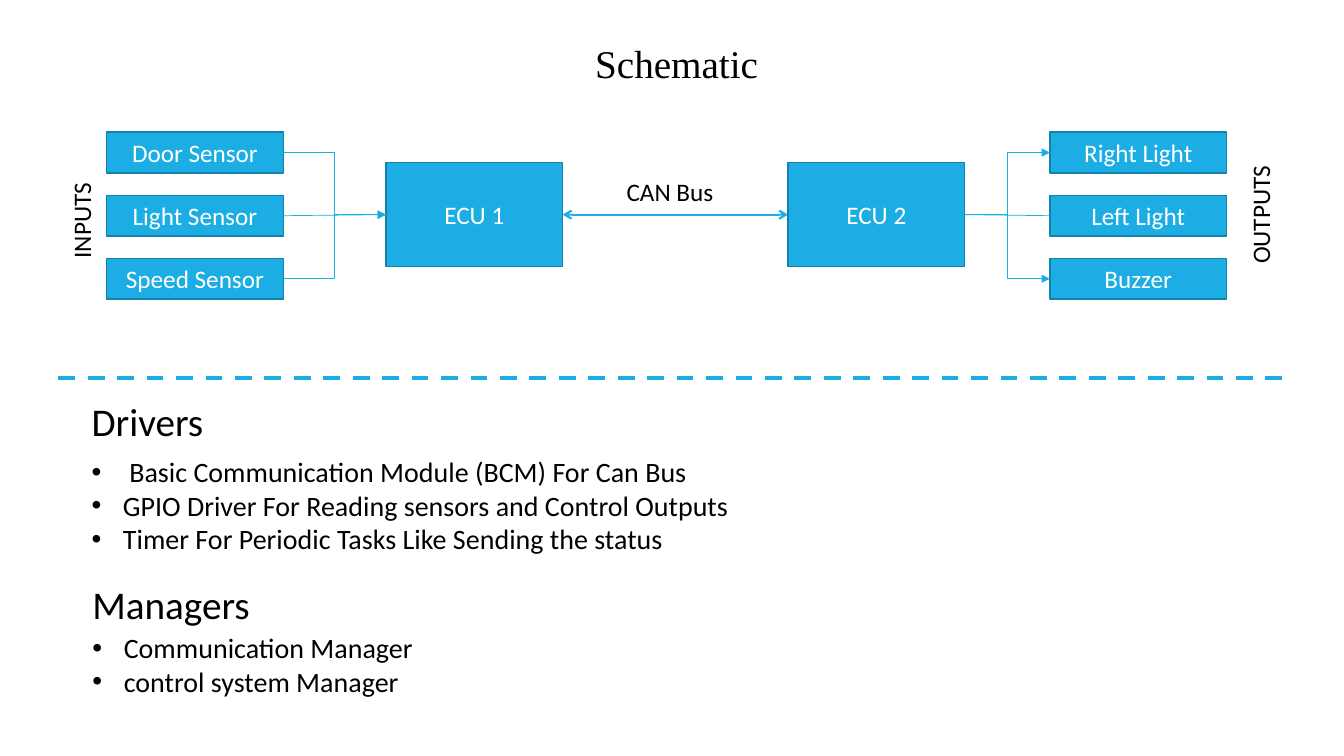
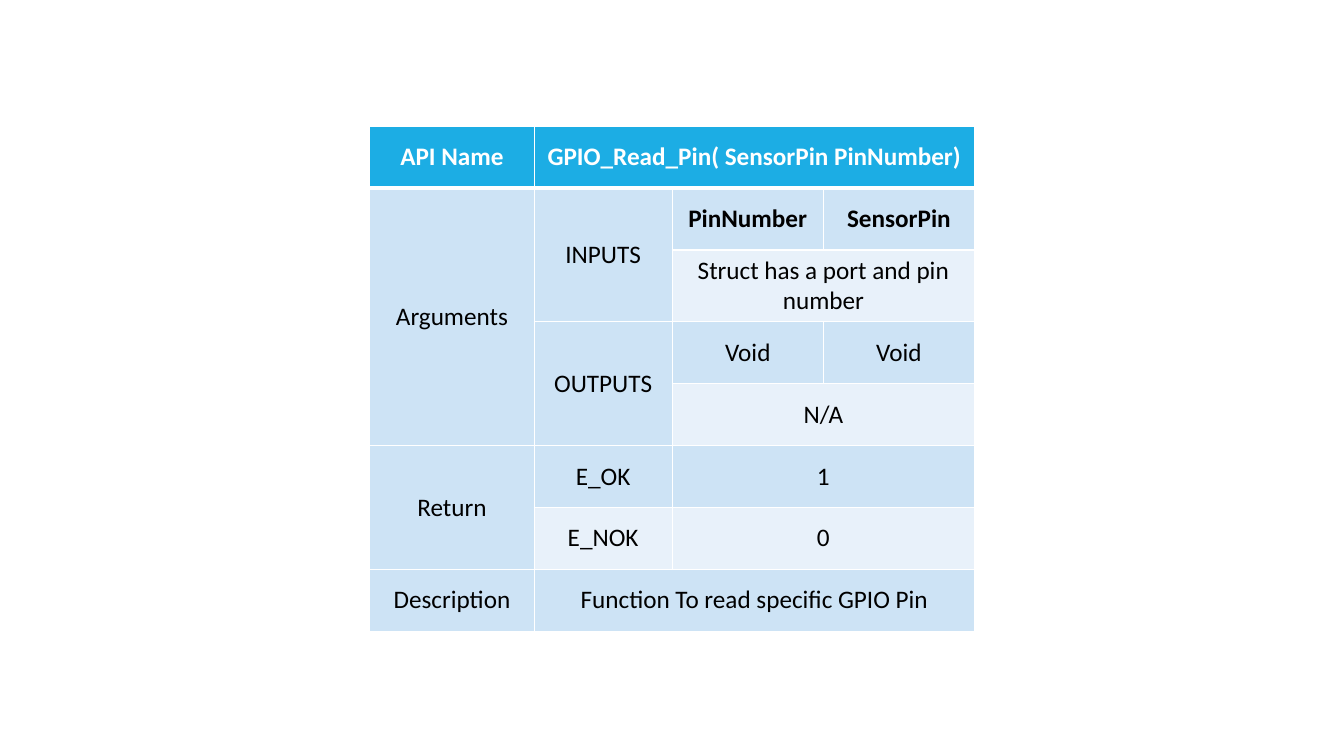
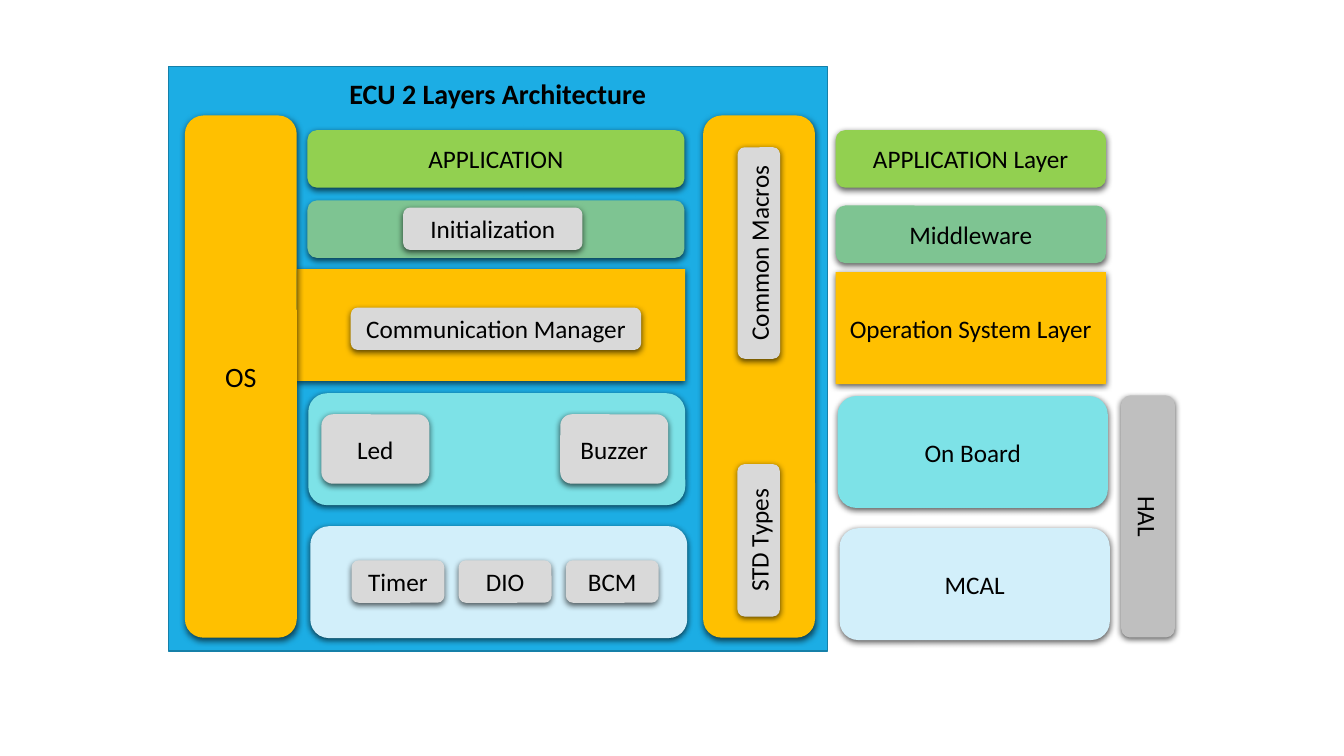
from dataclasses import dataclass

from lxml import etree
from pptx import Presentation
from pptx.dml.color import RGBColor
from pptx.enum.dml import MSO_LINE
from pptx.enum.shapes import MSO_CONNECTOR, MSO_SHAPE
from pptx.enum.text import MSO_ANCHOR, PP_ALIGN
from pptx.oxml.ns import qn
from pptx.util import Cm, Pt

RECTANGLE = MSO_SHAPE.RECTANGLE
ROUNDED = MSO_SHAPE.ROUNDED_RECTANGLE
STRAIGHT = MSO_CONNECTOR.STRAIGHT
ELBOW = MSO_CONNECTOR.ELBOW
DASH = MSO_LINE.DASH
LEFT = PP_ALIGN.LEFT
CENTER = PP_ALIGN.CENTER
TOP = MSO_ANCHOR.TOP
MIDDLE = MSO_ANCHOR.MIDDLE
LEFT_SIDE, RIGHT_SIDE = 1, 3


@dataclass(frozen=True)
class Theme:
    body_font: str = "Calibri"
    title_font: str = "Times New Roman"
    heading_size: int = 28
    list_size: int = 20
    label_size: int = 18
    black: str = "000000"
    white: str = "FFFFFF"
    accent: str = "1CADE4"
    outline: str = "1580A9"
    band_dark: str = "CDE3F5"
    band_light: str = "E8F1FA"
    application: str = "92D050"
    middleware: str = "7EC492"
    system: str = "FFC000"
    board: str = "7DE2E7"
    driver: str = "D2EFFA"
    module: str = "D9D9D9"
    hardware: str = "BFBFBF"


THEME = Theme()


def rgb(value):
    return RGBColor.from_string(value)


def add_xml(parent, tag, **attributes):
    element = etree.SubElement(parent, qn(tag))
    for name, value in attributes.items():
        element.set(name, str(value))
    return element


def add_bullet(para):
    properties = para._p.get_or_add_pPr()
    properties.set("marL", str(Cm(0.79)))
    properties.set("indent", str(-Cm(0.79)))
    add_xml(properties, "a:buFont", typeface="Arial")
    add_xml(properties, "a:buChar", char="•")


def write_text(frame, text, size=THEME.label_size, color=THEME.black,
               font=THEME.body_font, bold=False, align=CENTER, bullets=False):
    for index, line in enumerate(text.split("\n")):
        para = frame.add_paragraph() if index else frame.paragraphs[0]
        para.alignment = align
        if bullets:
            add_bullet(para)
        span = para.add_run()
        span.text = line
        span.font.name = font
        span.font.size = Pt(size)
        span.font.bold = bold
        span.font.color.rgb = rgb(color)


def add_label(page, text, left, top, width, height, rotation=0, **text_format):
    box = page.shapes.add_textbox(Cm(left), Cm(top), Cm(width), Cm(height))
    box.rotation = rotation
    box.text_frame.word_wrap = True
    box.text_frame.vertical_anchor = TOP
    write_text(box.text_frame, text, **text_format)


def add_box(page, text, left, top, width, height, fill, kind=RECTANGLE,
            rotation=0, **text_format):
    box = page.shapes.add_shape(kind, Cm(left), Cm(top), Cm(width), Cm(height))
    box.rotation = rotation
    box.fill.solid()
    box.fill.fore_color.rgb = rgb(fill)
    box.shadow.inherit = False
    if text:
        box.text_frame.word_wrap = True
        box.text_frame.vertical_anchor = MIDDLE
        write_text(box.text_frame, text, **text_format)
    return box


def add_outlined_box(page, text, left, top, width, height):
    box = add_box(page, text, left, top, width, height, THEME.accent,
                  color=THEME.white)
    box.line.color.rgb = rgb(THEME.outline)
    box.line.width = Pt(1)
    return box


def add_raised_box(page, text, left, top, width, height, fill, kind=ROUNDED,
                   **box_format):
    box = add_box(page, text, left, top, width, height, fill, kind, **box_format)
    box.line.fill.background()
    effects = box._element.spPr.find(qn("a:effectLst"))
    shadow = add_xml(effects, "a:outerShdw", blurRad=Pt(4.5), dist=Pt(1.5),
                     dir=5400000, algn="ctr", rotWithShape=0)
    color = add_xml(shadow, "a:srgbClr", val=THEME.black)
    add_xml(color, "a:alpha", val=63000)


def add_module(page, text, left, top, width, height=1.07, rotation=0):
    add_raised_box(page, text, left, top, width, height, THEME.module,
                   rotation=rotation)


def add_line(page, kind=STRAIGHT, ends=(0, 0, 0, 0), width=0.5, dash=None,
             head=None, tail=None):
    connector = page.shapes.add_connector(kind, *(Cm(value) for value in ends))
    connector.line.color.rgb = rgb(THEME.accent)
    connector.line.width = Pt(width)
    if dash:
        connector.line.dash_style = dash
    outline = connector.line._get_or_add_ln()
    for tag, arrow in (("a:headEnd", head), ("a:tailEnd", tail)):
        if arrow:
            add_xml(outline, tag, type=arrow)
    add_xml(connector._element.spPr, "a:effectLst")
    return connector


def link(page, source, target, **line_format):
    connector = add_line(page, **line_format)
    connector.begin_connect(source, RIGHT_SIDE)
    connector.end_connect(target, LEFT_SIDE)


def add_stack(page, names, left):
    return [add_outlined_box(page, name, left, 3.33 + 1.59 * index, 4.45, 1.03)
            for index, name in enumerate(names)]


def branch_format(index):
    if index == 1:
        return {"kind": STRAIGHT}
    return {"kind": ELBOW, "tail": "triangle"}


def build_schematic(page):
    first_unit, second_unit = (
        add_outlined_box(page, name, left, 4.1, 4.45, 2.62)
        for name, left in (("ECU 1", 9.73), ("ECU 2", 19.86)))
    link(page, first_unit, second_unit, width=1.5, head="arrow", tail="arrow")
    sensors = add_stack(page, ("Door Sensor", "Light Sensor", "Speed Sensor"), 2.69)
    actuators = add_stack(page, ("Right Light", "Left Light", "Buzzer"), 26.46)
    for index, (sensor, actuator) in enumerate(zip(sensors, actuators)):
        link(page, sensor, first_unit, **branch_format(index))
        link(page, second_unit, actuator, **branch_format(index))
    add_label(page, "CAN Bus", 15.54, 4.32, 2.79, 1.03, align=LEFT)
    add_label(page, "INPUTS", 0.66, 4.85, 2.79, 1.03, rotation=270, align=LEFT)
    add_label(page, "OUTPUTS", 30.23, 4.85, 3.07, 1.03, rotation=270, align=LEFT)
    add_line(page, ends=(1.47, 9.53, 32.39, 9.53), width=3, dash=DASH)
    add_label(page, " Schematic", 14.07, 0.86, 5.72, 1.45,
              size=THEME.heading_size, font=THEME.title_font)

    sections = (
        ("Drivers", 2.06, 9.88, 11.33,
         " Basic Communication Module (BCM) For Can Bus\n"
         "GPIO Driver For Reading sensors and Control Outputs\n"
         "Timer For Periodic Tasks Like Sending the status"),
        ("Managers", 2.08, 14.5, 15.77,
         "Communication Manager\ncontrol system Manager"),
    )
    for heading, left, heading_top, list_top, items in sections:
        add_label(page, heading, left, heading_top, 4.52, 1.45,
                  size=THEME.heading_size, align=LEFT)
        add_label(page, items, left, list_top, 17.37, 0.85 * (items.count("\n") + 1.3),
                  size=THEME.list_size, align=LEFT, bullets=True)


def style_cell(cell, row):
    properties = cell._tc.get_or_add_tcPr()
    thick_side = {0: "a:lnB", 1: "a:lnT"}.get(row)
    for tag in ("a:lnL", "a:lnR", "a:lnT", "a:lnB"):
        border = add_xml(properties, tag, w=Pt(3 if tag == thick_side else 1))
        add_xml(add_xml(border, "a:solidFill"), "a:srgbClr", val=THEME.white)
    band = THEME.band_dark if row % 2 else THEME.band_light
    cell.fill.solid()
    cell.fill.fore_color.rgb = rgb(band if row else THEME.accent)
    cell.vertical_anchor = MIDDLE


def build_api_table(page):
    widths = (4.14, 3.48, 3.81, 3.81)
    row_count, row_height = 8, 1.56
    table = page.shapes.add_table(
        row_count, len(widths), Cm(9.32), Cm(3.18),
        Cm(sum(widths)), Cm(row_count * row_height)).table
    table.first_row = False
    table.horz_banding = False
    for column, width in zip(table.columns, widths):
        column.width = Cm(width)
    for index, row in enumerate(table.rows):
        row.height = Cm(row_height)
        for cell in row.cells:
            style_cell(cell, index)

    entries = (
        (0, 0, 1, 1, "API Name"),
        (0, 1, 1, 3, "GPIO_Read_Pin( SensorPin PinNumber)"),
        (1, 0, 4, 1, "Arguments"),
        (1, 1, 2, 1, "INPUTS"),
        (1, 2, 1, 1, "PinNumber"),
        (1, 3, 1, 1, "SensorPin"),
        (2, 2, 1, 2, "Struct has a port and pin number"),
        (3, 1, 2, 1, "OUTPUTS"),
        (3, 2, 1, 1, "Void"),
        (3, 3, 1, 1, "Void"),
        (4, 2, 1, 2, "N/A"),
        (5, 0, 2, 1, "Return"),
        (5, 1, 1, 1, "E_OK"),
        (5, 2, 1, 2, "1"),
        (6, 1, 1, 1, "E_NOK"),
        (6, 2, 1, 2, "0"),
        (7, 0, 1, 1, "Description"),
        (7, 1, 1, 3, "Function To read specific GPIO Pin"),
    )
    for row, column, row_span, column_span, text in entries:
        cell = table.cell(row, column)
        if row_span * column_span > 1:
            cell.merge(table.cell(row + row_span - 1, column + column_span - 1))
        write_text(cell.text_frame, text,
                   color=THEME.black if row else THEME.white,
                   bold=row == 0 or (row == 1 and column > 1))


def build_architecture(page):
    add_outlined_box(page, "", 4.24, 1.68, 16.61, 14.73)
    add_label(page, "ECU 2 Layers Architecture", 7.92, 1.8, 9.25, 1.12,
              size=THEME.list_size, bold=True)

    low, high = 1.45, 2.82
    add_raised_box(page, "", 7.82, 13.26, 9.5, high, THEME.driver)
    add_raised_box(page, "", 7.77, 9.91, 9.5, high, THEME.board)
    add_raised_box(page, "", 17.72, 2.91, high, 13.16, THEME.system)
    add_raised_box(page, "", 7.49, 6.78, 9.78, high, THEME.system, kind=RECTANGLE)
    add_raised_box(page, "OS", 4.66, 2.91, high, 13.16, THEME.system,
                   size=THEME.list_size)
    add_raised_box(page, "", 7.75, 5.05, 9.5, low, THEME.middleware)
    add_raised_box(page, "APPLICATION", 7.75, 3.28, 9.5, low, THEME.application)

    add_module(page, "Common Macros", 16.46, 5.84, 5.33, rotation=270)
    add_module(page, "STD Types", 17.2, 13.08, 3.84, rotation=270)
    add_module(page, "Initialization", 10.16, 5.23, 4.52)
    add_module(page, "Communication Manager", 8.84, 7.75, 7.32)
    for name, left in (("Led", 8.1), ("Buzzer", 14.12)):
        add_module(page, name, left, 10.44, 2.72, height=1.75)
    for index, name in enumerate(("Timer", "DIO", "BCM")):
        add_module(page, name, 8.86 + 2.7 * index, 14.12, 2.34)

    layers = (
        ("APPLICATION Layer", 21.06, 3.28, low, THEME.application, ROUNDED),
        ("Middleware", 21.06, 5.18, low, THEME.middleware, ROUNDED),
        ("Operation System Layer", 21.06, 6.86, high, THEME.system, RECTANGLE),
        ("On Board", 21.11, 9.98, high, THEME.board, ROUNDED),
        ("MCAL", 21.16, 13.31, high, THEME.driver, ROUNDED),
    )
    for name, left, top, height, fill, kind in layers:
        add_raised_box(page, name, left, top, 6.81, height, fill, kind=kind)
    add_raised_box(page, "HAL", 25.88, 12.34, 6.1, 1.35, THEME.hardware, rotation=90)


def main():
    deck = Presentation()
    deck.slide_width = Cm(33.87)
    deck.slide_height = Cm(19.05)
    blank = deck.slide_layouts[6]
    for build in (build_schematic, build_api_table, build_architecture):
        build(deck.slides.add_slide(blank))
    deck.save("out.pptx")


if __name__ == "__main__":
    main()
